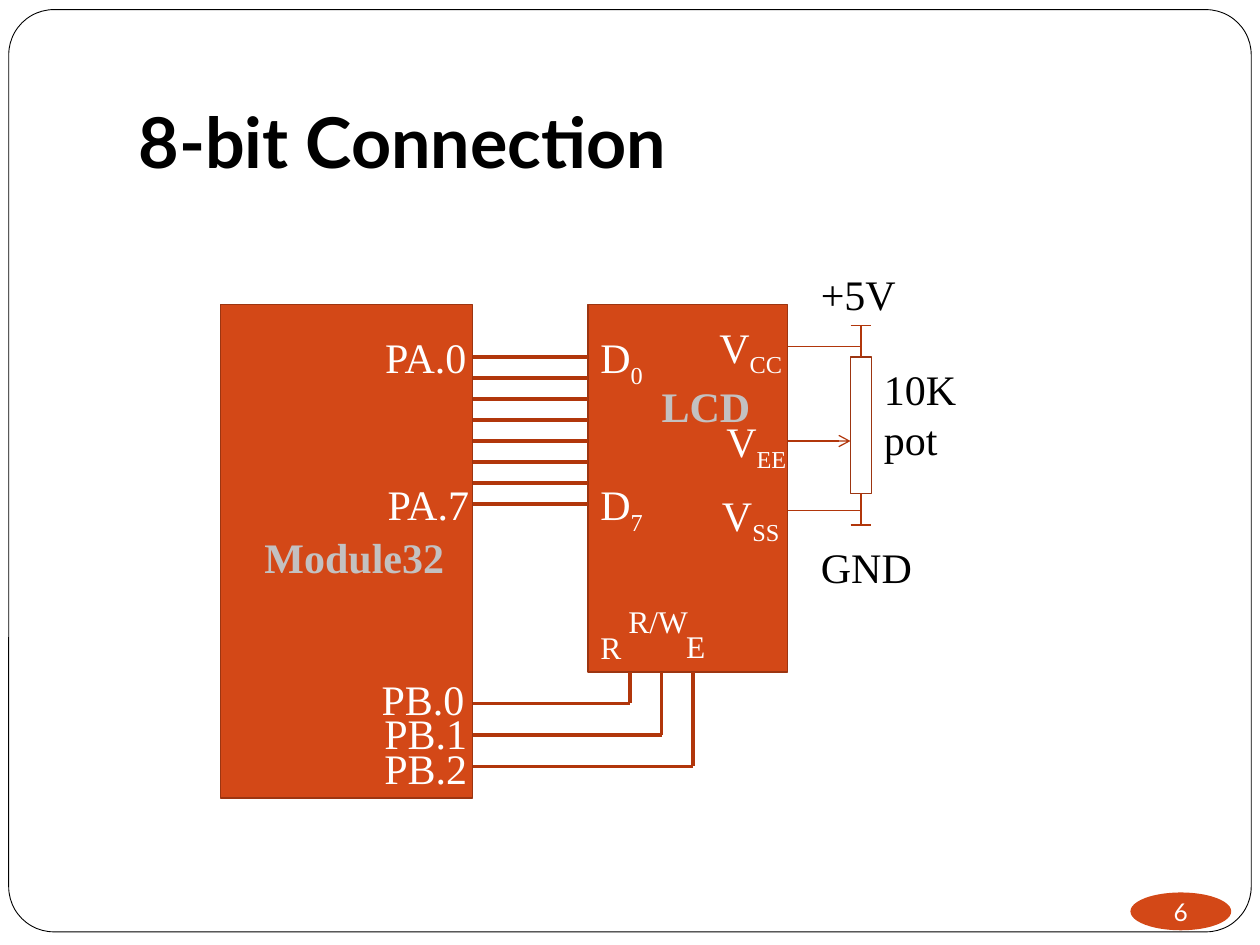
from dataclasses import dataclass

from lxml.etree import SubElement
from pptx import Presentation
from pptx.dml.color import RGBColor
from pptx.enum.shapes import MSO_CONNECTOR as CONN, MSO_SHAPE as SHAPE
from pptx.enum.text import MSO_ANCHOR as ANCHOR, MSO_AUTO_SIZE as FIT, PP_ALIGN as ALIGN
from pptx.oxml.ns import qn
from pptx.util import Pt


@dataclass(frozen=True)
class Theme:
    """Colours, fonts and type sizes of the deck."""
    black: str = "000000"
    white: str = "FFFFFF"
    block: str = "D34817"
    edge: str = "9C3511"
    wire: str = "B1360B"
    name: str = "C3C1C1"
    sans: str = "Lato"
    serif: str = "Times New Roman"
    title: int = 40
    label: int = 24
    small: int = 18
    number: int = 14


def add_run(p, text, *, size, font, color, bold=False, sub=False):
    """Add a formatted run to a paragraph."""
    r = p.add_run()
    r.text = text
    r.font.size, r.font.name, r.font.bold = Pt(size), font, bold
    r.font.color.rgb = RGBColor.from_string(color)
    if sub:
        r.font._element.set("baseline", "-25000")
    return r


class Diagram:
    """Draws on one slide in one style; lengths are in points."""

    def __init__(self, slide, theme):
        """Keep the slide and its theme."""
        self.s, self.t = slide, theme

    def title(self, text, x, y, w, h):
        """Place and fill the title placeholder."""
        sp, t = self.s.shapes.title, self.t
        sp.left, sp.top, sp.width, sp.height = Pt(x), Pt(y), Pt(w), Pt(h)
        tf = sp.text_frame
        tf.auto_size, tf.vertical_anchor = FIT.NONE, ANCHOR.BOTTOM
        tf.margin_left = tf.margin_right = tf.margin_bottom = Pt(7.2)
        tf.margin_top = Pt(3.6)
        p = tf.paragraphs[0]
        p.alignment = ALIGN.LEFT
        add_run(p, text, size=t.title, font=t.sans, color=t.black, bold=True)

    def shape(self, kind, x, y, w, h, fill, line=None, weight=1):
        """Add a flat preset shape."""
        sp = self.s.shapes.add_shape(kind, Pt(x), Pt(y), Pt(w), Pt(h))
        sp.shadow.inherit = False
        sp.fill.solid()
        sp.fill.fore_color.rgb = RGBColor.from_string(fill)
        if line:
            sp.line.color.rgb = RGBColor.from_string(line)
            sp.line.width = Pt(weight)
        else:
            sp.line.fill.background()
        return sp

    def frame(self, x, y, w, h):
        """Add the rounded page border behind everything else."""
        sp = self.shape(SHAPE.ROUNDED_RECTANGLE, x, y, w, h, self.t.white, self.t.black, 0.5)
        sp.adjustments[0] = 0.049
        self.s.shapes._spTree.insert(2, sp._element)

    def wire(self, x1, y1, x2, y2, weight=0.75, arrow=False):
        """Add a straight wire, with an arrowhead at its end if wanted."""
        c = self.s.shapes.add_connector(CONN.STRAIGHT, Pt(x1), Pt(y1), Pt(x2), Pt(y2))
        c.line.color.rgb = RGBColor.from_string(self.t.wire)
        c.line.width = Pt(weight)
        if arrow:
            SubElement(c.line._get_or_add_ln(), qn("a:tailEnd"), type="arrow")
        SubElement(c._element.spPr, qn("a:effectLst"))

    def label(self, text, x, y, w, h=36, sub="", color=None, size=None, bold=False, wrap=True):
        """Add a serif label with an optional subscript."""
        t = self.t
        tf = self.s.shapes.add_textbox(Pt(x), Pt(y), Pt(w), Pt(h)).text_frame
        tf.word_wrap = wrap
        style = dict(size=size or t.label, font=t.serif, color=color or t.white, bold=bold)
        p = tf.paragraphs[0]
        add_run(p, text, **style)
        if sub:
            add_run(p, sub, sub=True, **style)

    def page_number(self, text, x, y, w, h):
        """Add the page number in an ellipse."""
        t = self.t
        tf = self.shape(SHAPE.OVAL, x, y, w, h, t.block).text_frame
        tf.margin_left = tf.margin_right = tf.margin_top = tf.margin_bottom = 0
        tf.word_wrap, tf.vertical_anchor = False, ANCHOR.MIDDLE
        p = tf.paragraphs[0]
        p.alignment = ALIGN.CENTER
        add_run(p, text, size=t.number, font=t.sans, color=t.white)


def draw_blocks(d):
    """Draw the controller, the display and the buses between them."""
    t = d.t
    mcu_right, lcd_left, lcd_bottom, bus_weight = 270, 336, 384, 2.25
    d.shape(SHAPE.RECTANGLE, 126, 174, 144, 282, t.block, t.edge)
    d.shape(SHAPE.RECTANGLE, lcd_left, 174, 114, 210, t.block, t.edge)
    for bit in range(8):
        y = 204 + 12 * bit
        d.wire(mcu_right, y, lcd_left, y, bus_weight)
    for bit in range(3):
        x, y = 360 + 18 * bit, 402 + 18 * bit
        d.wire(mcu_right, y, x, y, bus_weight)
        d.wire(x, y, x, lcd_bottom, bus_weight)
    for bit, x, y in (("0", 213, 186), ("7", 214.5, 270)):
        d.label("PA." + bit, x, y, 66)
        d.label("D", lcd_left, y, 48, sub=bit)
    for bit, x in enumerate((211, 212.5, 212.5)):
        d.label(f"PB.{bit}", x, 381.5 + 19.5 * bit, 66)
    for text, x, y, w in (("RS", 336, 355.5, 36), ("R/W", 352, 340.5, 60), ("E", 385, 355, 36)):
        d.label(text, x, y, w, 29, size=t.small, wrap=False)
    for sub, x, y in (("CC", 404, 180), ("EE", 408, 234), ("SS", 405.5, 276)):
        d.label("V", x, y, 66, sub=sub)
    d.label("Module32", 144, 300, 126, color=t.name, bold=True)
    d.label("LCD", 371, 214, 67, color=t.name, bold=True)


def draw_supply(d):
    """Draw the supply rails and the potentiometer."""
    t = d.t
    lcd_right, left, mid, right = 450, 486, 492, 498
    top, bottom = 204, 282
    d.shape(SHAPE.RECTANGLE, left, top, right - left, bottom - top, t.white, t.edge)
    d.wire(lcd_right, 252, left, 252, arrow=True)
    for end, rail, tap in ((top, 186, 198), (bottom, 300, 291.6)):
        d.wire(mid, end, mid, rail)
        d.wire(left, rail, right, rail)
        d.wire(lcd_right, tap, mid, tap)
    d.label("+5V", 462, 150, 66, color=t.black)
    d.label("GND", 462, 306, 96, color=t.black)
    d.label("10K pot", right, 204, 66, 66, color=t.black)


def main():
    """Build and save the slide."""
    prs = Presentation()
    prs.slide_width, prs.slide_height = Pt(720), Pt(540)
    d = Diagram(prs.slides.add_slide(prs.slide_layouts[5]), Theme())
    d.frame(5, 5.5, 710, 527)
    d.title("8-bit Connection", 72, 21.6, 612, 90)
    draw_blocks(d)
    draw_supply(d)
    d.page_number("6", 646, 510, 57.6, 21.6)
    prs.save("out.pptx")


main()
